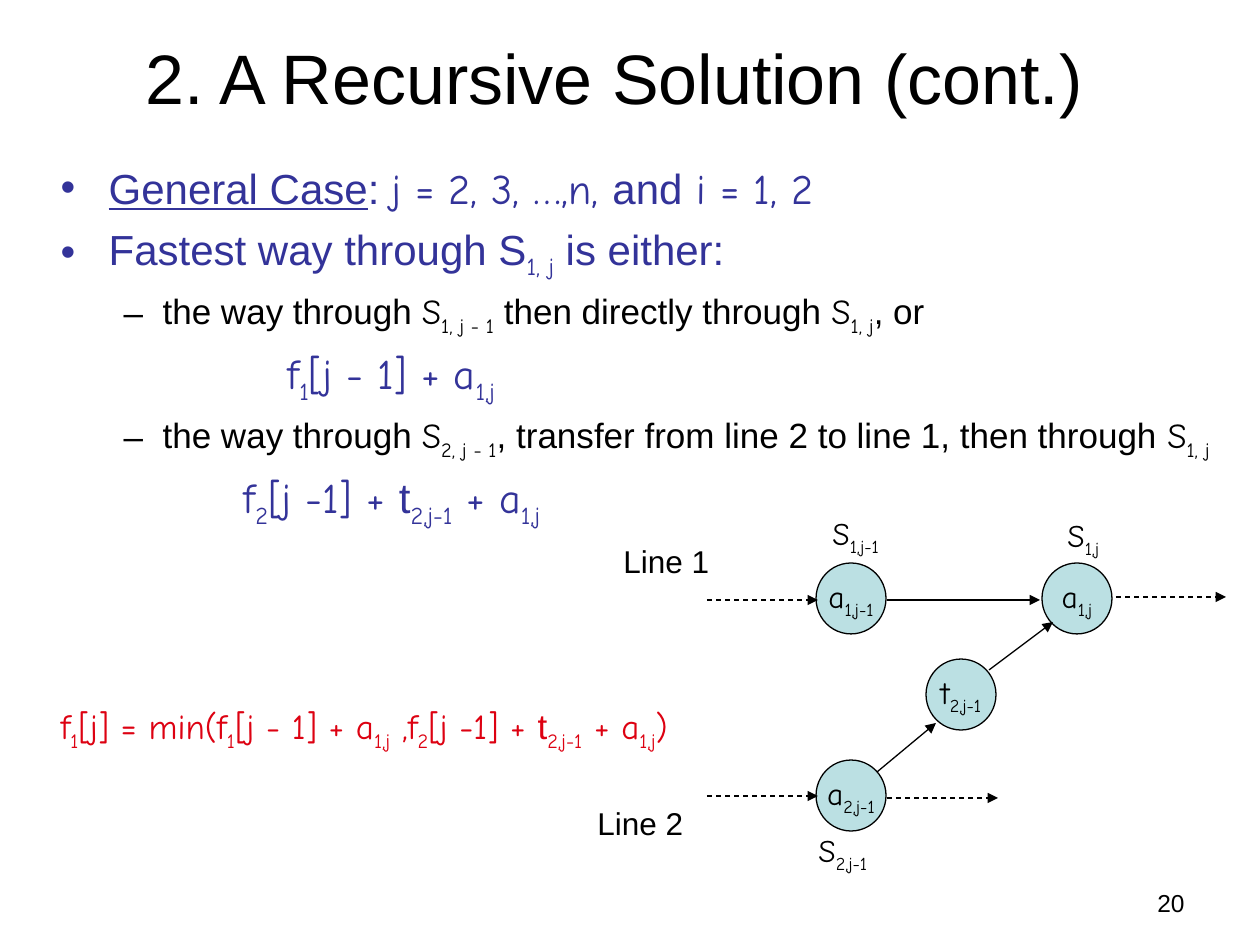
from pptx import Presentation
from pptx.dml.color import RGBColor
from pptx.enum.dml import MSO_LINE
from pptx.enum.shapes import MSO_CONNECTOR, MSO_SHAPE
from pptx.enum.text import MSO_ANCHOR, MSO_AUTO_SIZE, PP_ALIGN
from pptx.oxml.ns import qn
from pptx.util import Pt
from lxml.etree import SubElement

PX = 914400 / 126  # EMU per pixel
COLORS = {"text": "000000", "blue": "333399", "red": "DD0111", "node": "BBE0E3"}
ARIAL, COMIC = "Arial", "Comic Neue"


def px(n):
    return round(n * PX)


def rgb(name):
    return RGBColor.from_string(COLORS[name])


def place(sp, box):
    sp.left, sp.top, sp.width, sp.height = map(px, box)


def write(p, parts, size, color):
    """Add (font, text) parts; text between underscores is subscript."""
    for font, text in parts:
        for i, piece in enumerate(text.split("_")):
            if not piece:
                continue
            r = p.add_run()
            r.text = piece
            r.font.name, r.font.size = font, Pt(size)
            r.font.color.rgb = rgb(color)
            if i % 2:
                r.font._element.set("baseline", "-25000")


def set_indent(p, margin, hanging=0, bullet=None, color="text"):
    pPr = p._p.get_or_add_pPr()
    pPr.set("marL", str(px(margin)))
    pPr.set("indent", str(-px(hanging)))
    if bullet:
        clr = SubElement(pPr, qn("a:buClr"))
        SubElement(clr, qn("a:srgbClr"), val=COLORS[color])
        SubElement(pPr, qn("a:buFont"), typeface=ARIAL)
        SubElement(pPr, qn("a:buChar"), char=bullet)
    else:
        SubElement(pPr, qn("a:buNone"))


def add_label(slide, box, parts, size=18, align=PP_ALIGN.LEFT, wrap=False):
    sp = slide.shapes.add_textbox(*map(px, box))
    tf = sp.text_frame
    tf.word_wrap = wrap
    p = tf.paragraphs[0]
    p.alignment = align
    write(p, parts, size, "text")


def add_node(slide, box, text):
    sp = slide.shapes.add_shape(MSO_SHAPE.OVAL, *map(px, box))
    sp.shadow.inherit = False
    sp.fill.solid()
    sp.fill.fore_color.rgb = rgb("node")
    sp.line.color.rgb = rgb("text")
    sp.line.width = Pt(0.75)
    tf = sp.text_frame
    tf.word_wrap = False
    tf.vertical_anchor = MSO_ANCHOR.MIDDLE
    p = tf.paragraphs[0]
    p.alignment = PP_ALIGN.CENTER
    write(p, [(COMIC, text)], 18, "text")


def add_arrow(slide, ends, dashed):
    s = slide.shapes.add_connector(MSO_CONNECTOR.STRAIGHT, *map(px, ends))
    s.line.color.rgb = rgb("text")
    s.line.width = Pt(0.75)
    if dashed:
        s.line.dash_style = MSO_LINE.DASH
    SubElement(s.line._get_or_add_ln(), qn("a:tailEnd"), type="triangle")
    SubElement(s._element.spPr, qn("a:effectLst"))


def fill_title(slide, box):
    sp = slide.shapes.title
    place(sp, box)
    tf = sp.text_frame
    tf.auto_size = MSO_AUTO_SIZE.NONE
    tf.vertical_anchor = MSO_ANCHOR.MIDDLE
    p = tf.paragraphs[0]
    p.alignment = PP_ALIGN.CENTER
    write(p, [(ARIAL, "2. A Recursive Solution (cont.)")], 40, "text")


def fill_body(slide, box):
    sp = slide.placeholders[1]
    place(sp, box)
    tf = sp.text_frame
    tf.auto_size = MSO_AUTO_SIZE.NONE
    main = (0, 24, "blue", (48, 48, "•", "blue"))
    sub = (1, 20, "text", (102, 39, "–", "text"))
    # (level, size, colour, indent), space before, parts
    rows = [
        (main, 0, [(ARIAL, "General Case"), (ARIAL, ": "), (COMIC, "j = 2, 3, …,n, "),
                   (ARIAL, "and"), (COMIC, " i = 1, 2")]),
        (main, 6, [(ARIAL, "Fastest way through S"), (COMIC, "_1, j_"),
                   (ARIAL, " is either:")]),
        (sub, 5, [(ARIAL, "the way through "), (COMIC, "S_1, j - 1_"),
                  (ARIAL, " then directly through "), (COMIC, "S_1, j_"),
                  (ARIAL, ", or")]),
        ((1, 24, "blue", (227,)), 6, [(COMIC, "f_1_[j - 1] + a_1,j_")]),
        (sub, 5, [(ARIAL, "the way through "), (COMIC, "S_2, j - 1_"),
                  (ARIAL, ", transfer from line 2 to line 1, then through "),
                  (COMIC, "S_1, j_")]),
        ((0, 24, "blue", (183,)), 6, [(COMIC, "f_2_[j -1] + "), (ARIAL, "t"),
                                      (COMIC, "_2,j-1_ + a_1,j_")]),
        ((0, 20, "red", (0,)), 100, [
            (COMIC, "f_1_[j] = min(f_1_[j - 1] + a_1,j_ ,f_2_[j -1] + "),
            (ARIAL, "t"), (COMIC, "_2,j-1_ + a_1,j_)")]),
    ]
    for i, ((level, size, color, indent), before, parts) in enumerate(rows):
        p = tf.add_paragraph() if i else tf.paragraphs[0]
        p.level = level
        p.space_before = Pt(before)
        set_indent(p, *indent)
        write(p, parts, size, color)
    tf.paragraphs[0].runs[0].font.underline = True


def draw_assembly_lines(slide, left, top):
    # Stations and the transfer between the lines
    for x, y, text in [(457, 55, "a_1,j_"), (231, 55, "a_1,j-1_"),
                       (231, 252, "a_2,j-1_"), (341, 151, "t_2,j-1_")]:
        add_node(slide, (left + x, top + y, 70, 71), text)

    # Station names and line names
    for x, y, w, h, font, text in [
            (470, 2, 57, 55, COMIC, "S_1,j_"),
            (235, 0, 72, 55, COMIC, "S_1,j-1_"),
            (221, 317, 74, 55, COMIC, "S_2,j-1_"),
            (26, 28, 111, 50, ARIAL, "Line 1"),
            (0, 290, 111, 50, ARIAL, "Line 2")]:
        add_label(slide, (left + x, top + y, w, h), [(font, text)])

    # Arrows: x1, y1, x2, y2, dashed
    for x1, y1, x2, y2, dashed in [
            (122, 92, 233, 92, True), (122, 288, 233, 288, True),
            (302, 92, 455, 92, False), (292, 264, 351, 215, False),
            (404, 162, 468, 114, False), (531, 89, 641, 89, True),
            (302, 290, 413, 290, True)]:
        add_arrow(slide, (left + x1, top + y1, left + x2, top + y2), dashed)


def main():
    prs = Presentation()
    prs.slide_width, prs.slide_height = px(1260), px(945)
    slide = prs.slides.add_slide(prs.slide_layouts[1])
    fill_title(slide, (47, 14, 1134, 125))
    fill_body(slide, (48, 156, 1212, 736))
    draw_assembly_lines(slide, 585, 508)
    # Page number
    add_label(slide, (903, 882, 294, 44), [(ARIAL, "20")], 14, PP_ALIGN.RIGHT, True)
    prs.save("out.pptx")


if __name__ == "__main__":
    main()
